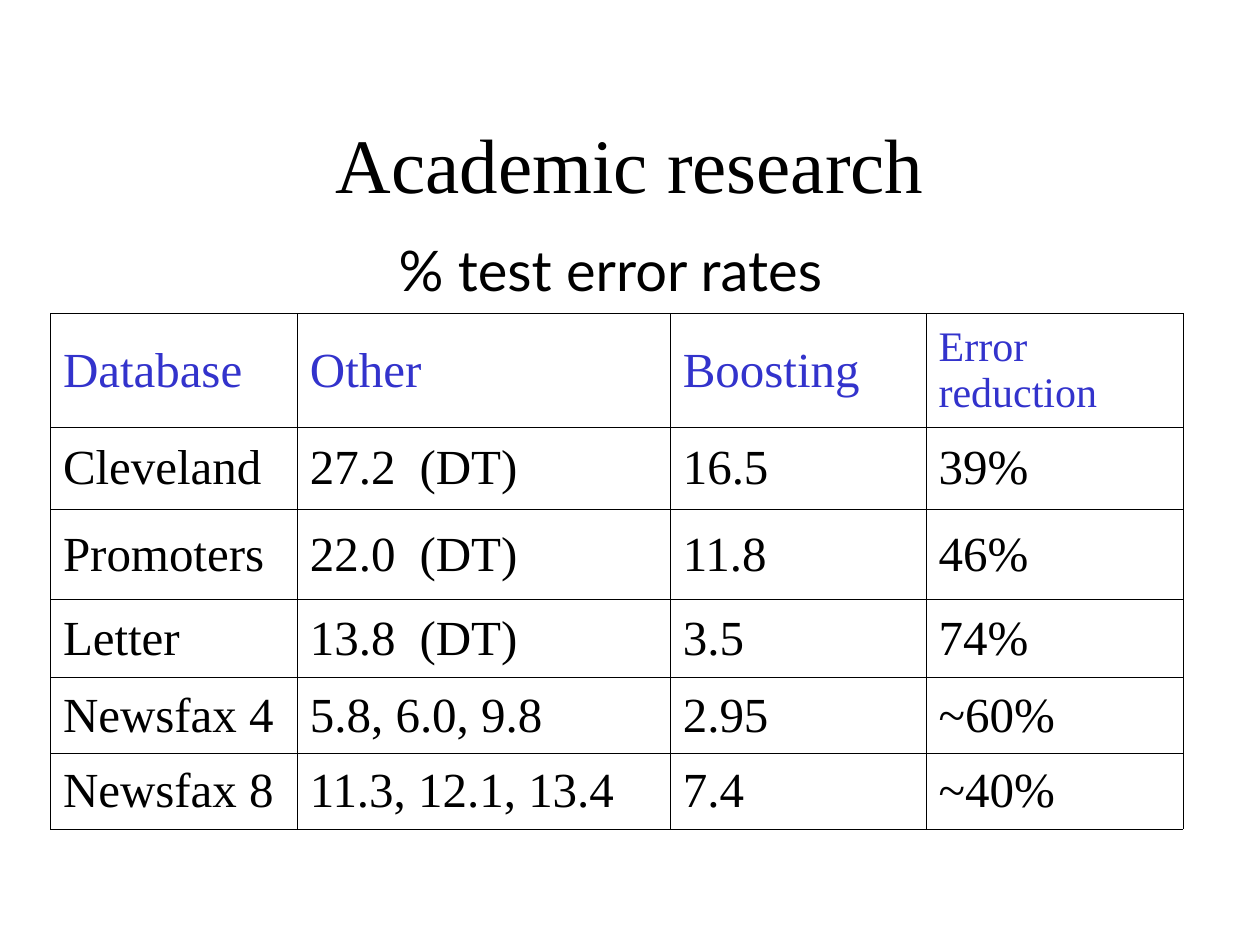
import pptx
import pptx.dml.color
import pptx.enum.text
import pptx.oxml
import pptx.oxml.ns
import pptx.util

COLORS = {"ink": "000000", "header": "3333CC", "paper": "FFFFFF"}
SERIF, SANS = "Times New Roman", "Lato"
ANCHOR = pptx.enum.text.MSO_ANCHOR
ALIGN = pptx.enum.text.PP_ALIGN

COLUMNS = [1.96, 2.96, 2.03, 2.04]
ROWS = [0.9, 0.65, 0.72, 0.62, 0.6, 0.6]
RESULTS = [
    ["Database", "Other", "Boosting", "Error reduction"],
    ["Cleveland", "27.2\t(DT)", "16.5", "39%"],
    ["Promoters", "22.0\t(DT)", "11.8", "46%"],
    ["Letter", "13.8\t(DT)", "3.5", "74%"],
    ["Newsfax 4", "5.8, 6.0, 9.8", "2.95", "~60%"],
    ["Newsfax 8", "11.3, 12.1, 13.4", "7.4", "~40%"],
]


def color(name):
    return pptx.dml.color.RGBColor.from_string(COLORS[name])


def assign(target, values):
    for name, value in values.items():
        setattr(target, name, value)


class Page:
    def __init__(self, deck):
        self.width, self.height = deck.slide_width, deck.slide_height
        self.slide = deck.slides.add_slide(deck.slide_layouts[5])

    def frame(self, left, top, width, height):
        return {
            "left": round(left * self.width),
            "top": round(top * self.height),
            "width": round(width * self.width),
            "height": round(height * self.height),
        }

    def add_text(self, para, text, size, font, ink="ink", **layout):
        assign(para, layout)
        span = para.add_run()
        span.text = text
        assign(span.font, {"name": font, "size": pptx.util.Pt(size)})
        span.font.color.rgb = color(ink)

    def title(self, text, *place):
        box = self.slide.shapes.title
        assign(box, self.frame(*place))
        assign(box.text_frame, {"vertical_anchor": ANCHOR.MIDDLE, "word_wrap": True})
        self.add_text(box.text_frame.paragraphs[0], text, 44, SERIF, alignment=ALIGN.CENTER)

    def caption(self, text, *place):
        box = self.slide.shapes.add_textbox(**self.frame(*place))
        box.text_frame.word_wrap = True
        self.add_text(box.text_frame.paragraphs[0], text, 32, SANS, alignment=ALIGN.CENTER)

    def table(self, rows, widths, heights, *place):
        grid = self.slide.shapes.add_table(len(rows), len(widths), **self.frame(*place)).table
        assign(grid, {"first_row": False, "horz_banding": False})
        for column, width in zip(grid.columns, widths):
            column.width = pptx.util.Inches(width)
        for row, height in zip(grid.rows, heights):
            row.height = pptx.util.Inches(height)
        for r, texts in enumerate(rows):
            for c, text in enumerate(texts):
                self.cell(grid.cell(r, c), text, r == 0, r == 0 and c == len(texts) - 1)

    def cell(self, cell, text, header, small):
        cell.vertical_anchor = ANCHOR.MIDDLE
        para = cell.text_frame.paragraphs[0]
        self.add_text(
            para, text, 24 if small else 28, SERIF, "header" if header else "ink",
            space_before=pptx.util.Pt(6 if small else 7),
        )
        if "\t" in text:
            self.tab_stop(para, 0.87)
        self.borders(cell)
        cell.fill.solid()
        cell.fill.fore_color.rgb = color("paper")

    def tab_stop(self, para, inches):
        stops = pptx.oxml.parse_xml(
            f'<a:tabLst {pptx.oxml.ns.nsdecls("a")}>'
            f'<a:tab pos="{pptx.util.Inches(inches)}" algn="l"/></a:tabLst>'
        )
        para._p.get_or_add_pPr().append(stops)

    def borders(self, cell):
        for side in ("lnL", "lnR", "lnT", "lnB"):
            line = pptx.oxml.parse_xml(
                f'<a:{side} {pptx.oxml.ns.nsdecls("a")} w="{pptx.util.Pt(0.45)}">'
                f'<a:solidFill><a:srgbClr val="{COLORS["ink"]}"/></a:solidFill></a:{side}>'
            )
            cell._tc.get_or_add_tcPr().append(line)


def main():
    deck = pptx.Presentation()
    deck.slide_width, deck.slide_height = pptx.util.Inches(10), pptx.util.Inches(7.5)
    page = Page(deck)
    page.title("Academic research", 0.075, 0.67 / 7.5, 0.85, 1.25 / 7.5)
    page.table(RESULTS, COLUMNS, ROWS, 0.04, 2.49 / 7.5, 0.9, 4.1 / 7.5)
    page.caption("% test error rates", 0.254, 1.82 / 7.5, 0.461, 0.64 / 7.5)
    deck.save("out.pptx")


if __name__ == "__main__":
    main()
